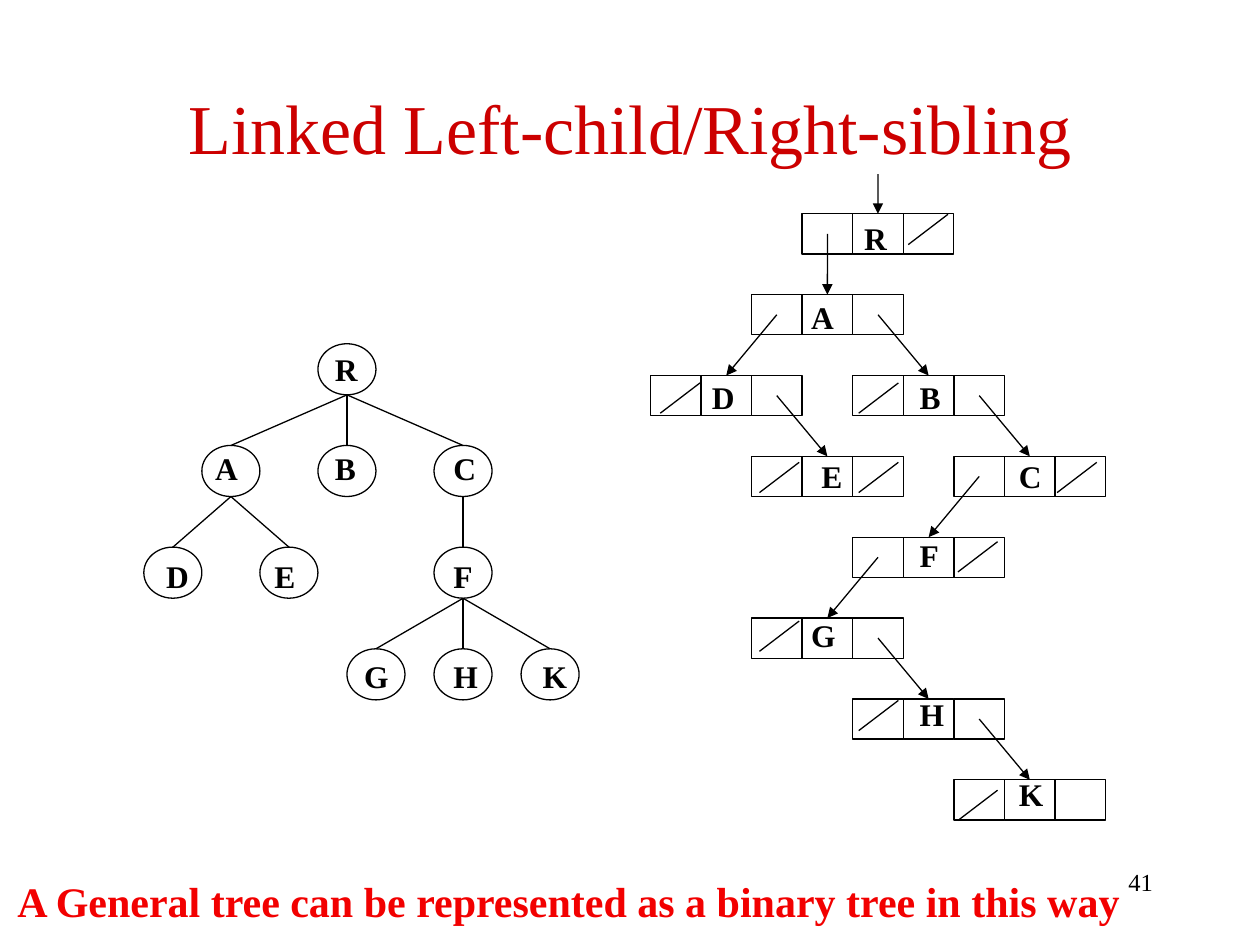
"""Build a slide showing a general tree and its left-child/right-sibling form."""
from lxml.etree import SubElement
from pptx import Presentation
from pptx.dml.color import RGBColor
from pptx.enum.shapes import MSO_CONNECTOR, MSO_SHAPE
from pptx.enum.text import MSO_ANCHOR, PP_ALIGN
from pptx.oxml.ns import qn
from pptx.util import Cm, Pt

COLORS = {"title": "CC0000", "note": "F20000", "ink": "000000", "paper": "FFFFFF"}
FONT = "Times New Roman"


def add_text(shapes, text, left, top, width, height, size=18, bold=True, color="ink", wrap=False):
    box = shapes.add_textbox(Cm(left), Cm(top), Cm(width), Cm(height))
    box.text_frame.text = text
    box.text_frame.word_wrap = wrap
    font = box.text_frame.paragraphs[0].runs[0].font
    font.name, font.size, font.bold = FONT, Pt(size), bold
    font.color.rgb = RGBColor.from_string(COLORS[color])
    return box


def add_line(shapes, start, end, target=None, arrow=False):
    line = shapes.add_connector(MSO_CONNECTOR.STRAIGHT, *map(Cm, start + end))
    if target is not None:
        line.end_connect(target, 0)
    line.line.color.rgb = RGBColor.from_string(COLORS["ink"])
    line.line.width = Pt(0.75)
    properties = line._element.spPr
    if arrow:
        SubElement(properties.find(qn("a:ln")), qn("a:tailEnd"), type="triangle")
    SubElement(properties, qn("a:effectLst"))


presentation = Presentation()
presentation.slide_width, presentation.slide_height = Cm(25.4), Cm(19.05)
slide = presentation.slides.add_slide(presentation.slide_layouts[5])

title = slide.shapes.title
title.left, title.top, title.width, title.height = Cm(1.91), Cm(1.7), Cm(21.59), Cm(3.18)
title.text_frame.text = "Linked Left-child/Right-sibling"
title.text_frame.vertical_anchor = MSO_ANCHOR.TOP
title.text_frame.margin_top = 0
paragraph = title.text_frame.paragraphs[0]
paragraph.alignment = PP_ALIGN.CENTER
title_font = paragraph.runs[0].font
title_font.name, title_font.size = FONT, Pt(40)
title_font.color.rgb = RGBColor.from_string(COLORS["title"])

# name: (parent, half-node steps from the left, level, label left)
tree = {
    "R": (None, 6, 0, 6.5),
    "A": ("R", 2, 1, 4.09),
    "B": ("R", 6, 1, 6.5),
    "C": ("R", 10, 1, 8.89),
    "D": ("A", 0, 2, 3.1),
    "E": ("A", 4, 2, 5.28),
    "F": ("C", 10, 2, 8.89),
    "G": ("F", 7, 3, 7.09),
    "H": ("F", 10, 3, 8.89),
    "K": ("F", 13, 3, 10.69),
}
node_width, node_height, level_pitch = 1.17, 1.03, 2.05
label_tops = [6.93, 8.92, 11.1, 13.13]
tree_shapes = slide.shapes.add_group_shape().shapes
boxes, nodes, tops = [], {}, {}
for name, (parent, step, level, label_left) in tree.items():
    left, top = 2.9 + step * node_width / 2, 6.93 + level * level_pitch
    nodes[name] = tree_shapes.add_shape(
        MSO_SHAPE.OVAL, Cm(left), Cm(top), Cm(node_width), Cm(node_height))
    boxes.append(nodes[name])
    tops[name] = (left + node_width / 2, top)
    if parent:
        parent_x, parent_y = tops[parent]
        add_line(tree_shapes, (parent_x, parent_y + node_height), tops[name], nodes[name])
for name, (parent, step, level, label_left) in tree.items():
    add_text(tree_shapes, name, label_left, label_tops[level], 0.97, 1.02)

add_text(slide.shapes, "A General tree can be represented as a binary tree in this way",
         0.1, 17.53, 22.83, 1.27, size=24, color="note")

# name: (first column, row, label left, columns with a null slash, slash top)
records = {
    "R": (3, 0, 17.17, [5], 4.32),
    "A": (2, 1, 16.1, [], 0),
    "D": (0, 2, 14.1, [0], 7.72),
    "B": (4, 2, 18.29, [4], 7.72),
    "E": (2, 3, 16.31, [2, 4], 9.32),
    "C": (6, 3, 20.29, [8], 9.32),
    "F": (4, 4, 18.29, [6], 10.92),
    "G": (2, 5, 16.1, [2], 12.52),
    "H": (4, 6, 18.29, [4], 14.12),
    "K": (6, 7, 20.29, [6], 15.93),
}
cell_width, cell_height, row_pitch = 1.02, 0.81, 1.63
record_shapes = slide.shapes.add_group_shape().shapes
cells, centers = {}, {}
for name, (column, row, *_) in records.items():
    for part in range(3):
        left, top = 13.11 + (column + part) * cell_width, 4.31 + row * row_pitch
        cells[name, part] = record_shapes.add_shape(
            MSO_SHAPE.RECTANGLE, Cm(left), Cm(top), Cm(cell_width), Cm(cell_height))
        boxes.append(cells[name, part])
        centers[name, part] = (left + cell_width / 2, top + cell_height / 2)

for box in boxes:
    box.shadow.inherit = False
    box.fill.solid()
    box.fill.fore_color.rgb = RGBColor.from_string(COLORS["paper"])
    box.line.color.rgb = RGBColor.from_string(COLORS["ink"])
    box.line.width = Pt(0.75)

pointers = [("R", 0, "A"), ("A", 0, "D"), ("A", 2, "B"), ("D", 2, "E"), ("B", 2, "C"),
            ("C", 0, "F"), ("F", 0, "G"), ("G", 2, "H"), ("H", 2, "K")]
root_x = centers["R", 1][0]
add_line(record_shapes, (root_x, 3.51), (root_x, 4.31), cells["R", 1], arrow=True)
for source, part, child in pointers:
    add_line(record_shapes, centers[source, part], centers[child, 1], cells[child, 1], arrow=True)

for name, (column, row, label_left, slash_columns, slash_top) in records.items():
    add_text(record_shapes, name, label_left, 4.29 + row * 1.6, 0.97, 1.02)
    for slash_column in slash_columns:
        slash_left = 13.31 + slash_column
        add_line(record_shapes, (slash_left, slash_top + 0.61), (slash_left + 0.8, slash_top))

number = add_text(slide.shapes, "41", 18.21, 17.35, 5.28, 1.27, size=14, bold=False, wrap=True)
number.text_frame.paragraphs[0].alignment = PP_ALIGN.RIGHT

presentation.save("out.pptx")
